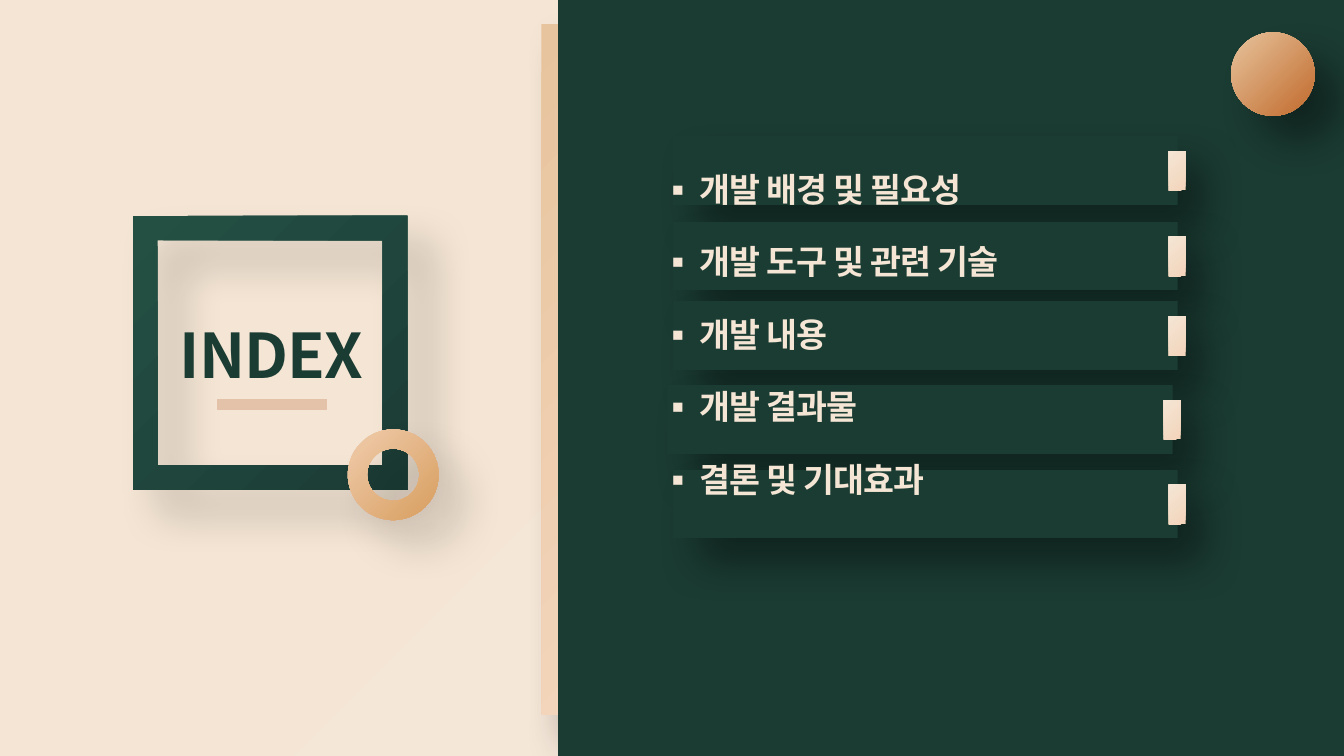
from dataclasses import dataclass

from lxml.etree import SubElement
from pptx import Presentation
from pptx.dml.color import RGBColor
from pptx.enum.shapes import MSO_CONNECTOR, MSO_SHAPE
from pptx.enum.text import MSO_ANCHOR, MSO_AUTO_SIZE, PP_ALIGN
from pptx.oxml.ns import qn
from pptx.util import Inches, Pt


@dataclass(frozen=True)
class Theme:
    font: str = "Noto Sans CJK KR"
    green: str = "1B3C33"
    deep_green: str = "1B3C35"
    light_green: str = "245044"
    cream: str = "F4E5D4"
    pale_cream: str = "F5E7D8"
    peach: str = "F3D5BB"
    light_peach: str = "F0CCAC"
    sand: str = "E7C49D"
    ochre: str = "D89E5F"
    copper: str = "C16A2C"
    underline: str = "E4C2A9"
    title_size: int = 44
    item_size: int = 24


theme = Theme()


def paint_gradient(fill, element, colors, focus=None):
    fill.gradient()
    for stop, color in zip(fill.gradient_stops, colors):
        stop.color.rgb = RGBColor.from_string(color)
    if focus is None:
        fill.gradient_angle = 315
        return
    linear = next(element.iter(qn("a:lin")))
    gradient = linear.getparent()
    gradient.remove(linear)
    radial = SubElement(gradient, qn("a:path"), path="circle")
    sides = dict(zip("ltrb", (f"{side}000" for side in focus)))
    SubElement(radial, qn("a:fillToRect"), **sides)


def add_gradient_shape(shapes, kind, box, colors, focus=None, shadow=None, adjustment=None):
    shape = shapes.add_shape(kind, *map(Inches, box))
    shape.line.fill.background()
    paint_gradient(shape.fill, shape._element, colors, focus)
    shape.shadow.inherit = False
    if adjustment is not None:
        shape.adjustments[0] = adjustment
    if shadow is not None:
        effects = shape._element.spPr.find(qn("a:effectLst"))
        outer = SubElement(effects, qn("a:outerShdw"), blurRad=str(Pt(30)), dist=str(Pt(26)),
                           dir="2700000", algn="tl", rotWithShape="0")
        black = SubElement(outer, qn("a:srgbClr"), val="000000")
        SubElement(black, qn("a:alpha"), val=f"{shadow}000")


presentation = Presentation()
presentation.slide_width = Inches(13.33)
presentation.slide_height = Inches(7.5)
slide = presentation.slides.add_slide(presentation.slide_layouts[5])
shapes = slide.shapes
background = slide.background
paint_gradient(background.fill, slide._element, (theme.pale_cream, theme.cream), (100, 100, 0, 0))

add_gradient_shape(shapes, MSO_SHAPE.RECTANGLE, (5.37, 0.24, 0.37, 6.85),
                   (theme.sand, theme.peach), shadow=40)
add_gradient_shape(shapes, MSO_SHAPE.RECTANGLE, (5.53, 0, 7.8, 7.5),
                   (theme.deep_green, theme.green), focus=(100, 100, 0, 0))
add_gradient_shape(shapes, MSO_SHAPE.FRAME, (1.32, 2.14, 2.72, 2.72),
                   (theme.light_green, theme.deep_green), shadow=17, adjustment=0.09)
add_gradient_shape(shapes, MSO_SHAPE.DONUT, (3.45, 4.26, 0.9, 0.9),
                   (theme.light_peach, theme.ochre), shadow=17, adjustment=0.213)
add_gradient_shape(shapes, MSO_SHAPE.OVAL, (12.21, 0.32, 0.83, 0.83),
                   (theme.sand, theme.copper), shadow=40)

underline = shapes.add_connector(MSO_CONNECTOR.STRAIGHT, Inches(2.15), Inches(4.01),
                                 Inches(3.24), Inches(4.01))
underline.line.color.rgb = RGBColor.from_string(theme.underline)
underline.line.width = Pt(8)
SubElement(underline._element.spPr, qn("a:effectLst"))

for left, top in ((6.67, 1.35), (6.67, 2.2), (6.67, 2.99), (6.62, 3.82), (6.67, 4.66)):
    row = shapes.add_group_shape()
    add_gradient_shape(row.shapes, MSO_SHAPE.RECTANGLE, (left, top, 5.01, 0.68),
                       (theme.green, theme.deep_green), shadow=40)
    add_gradient_shape(row.shapes, MSO_SHAPE.RECTANGLE, (left + 4.92, top + 0.15, 0.17, 0.39),
                       (theme.cream, theme.peach), focus=(0, 0, 100, 100))

title = shapes.title
title.left, title.top, title.width, title.height = map(Inches, (1.33, 3.13, 2.73, 0.62))
shapes._spTree.append(title._element)
title_frame = title.text_frame
title_frame.text = "INDEX"
title_frame.auto_size = MSO_AUTO_SIZE.NONE
title_frame.margin_left = title_frame.margin_right = 0
title_frame.margin_top = title_frame.margin_bottom = 0
title_paragraph = title_frame.paragraphs[0]
title_paragraph.alignment = PP_ALIGN.CENTER
title_paragraph.line_spacing = 1.2

items = ("개발 배경 및 필요성", "개발 도구 및 관련 기술", "개발 내용", "개발 결과물", "결론 및 기대효과")
index_list = shapes.add_textbox(Inches(6.46), Inches(1.28), Inches(3.94), Inches(4.06))
list_frame = index_list.text_frame
list_frame.word_wrap = True
list_frame.text = "\n".join(items)
for position, paragraph in enumerate(list_frame.paragraphs):
    if position:
        paragraph.space_before = Pt(23)
    properties = paragraph._p.get_or_add_pPr()
    properties.set("marL", str(Inches(0.38)))
    properties.set("indent", str(Inches(-0.38)))
    SubElement(properties, qn("a:buFont"), typeface=theme.font)
    SubElement(properties, qn("a:buChar"), char="▪")

for frame, size, color in ((title_frame, theme.title_size, theme.green),
                           (list_frame, theme.item_size, theme.cream)):
    frame.vertical_anchor = MSO_ANCHOR.MIDDLE
    for paragraph in frame.paragraphs:
        font = paragraph.font
        font.name = theme.font
        font.size = Pt(size)
        font.bold = True
        font.color.rgb = RGBColor.from_string(color)
        font._element.set("spc", "-60")
        SubElement(font._element, qn("a:ea"), typeface=theme.font)

presentation.save("out.pptx")
